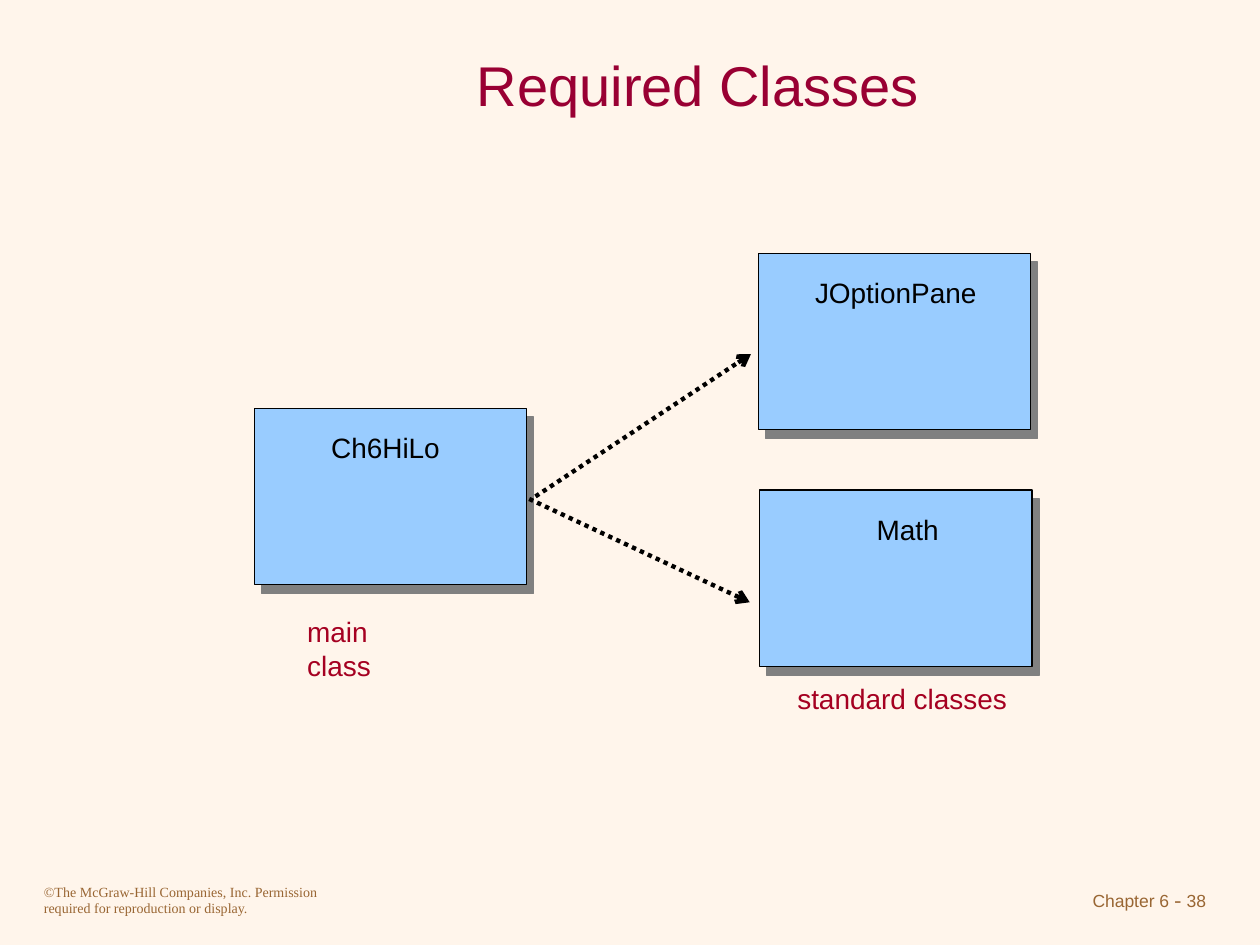
"""Build the Required Classes slide."""
import lxml.etree
import pptx
import pptx.dml.color
import pptx.enum.dml
import pptx.enum.shapes
import pptx.enum.text
import pptx.oxml.ns
import pptx.util

Inches = pptx.util.Inches
Pt = pptx.util.Pt
ALIGN = pptx.enum.text.PP_ALIGN
ANCHOR = pptx.enum.text.MSO_ANCHOR
SHAPE = pptx.enum.shapes.MSO_SHAPE

BACKGROUND, TITLE, CAPTION = "FFF5EB", "990033", "A50021"
FOOTER, CLASS_FILL, SHADOW, BLACK = "996633", "99CCFF", "808080", "000000"
CLASS_WIDTH, CLASS_HEIGHT = 2.16, 1.4


def color(value):
    """Return the colour for a hex string."""
    return pptx.dml.color.RGBColor.from_string(value)


def add_element(parent, tag, **attributes):
    """Append a namespaced element to its parent."""
    return lxml.etree.SubElement(parent, pptx.oxml.ns.qn(tag), attributes)


def style_span(span, size, value, font="Arial"):
    """Set the font of one run."""
    span.font.name = font
    span.font.size = Pt(size)
    span.font.color.rgb = color(value)


def add_text(page, box, text, size, value, font="Arial",
             align=ALIGN.LEFT, anchor=ANCHOR.TOP, wrap=True):
    """Place a line of text and return its paragraph."""
    frame = page.shapes.add_textbox(*map(Inches, box)).text_frame
    frame.word_wrap = wrap
    frame.vertical_anchor = anchor
    frame.text = text
    para = frame.paragraphs[0]
    para.alignment = align
    style_span(para.runs[0], size, value, font)
    return para


def add_class(page, box, name, name_indent):
    """Draw a shadowed class box with its name near the top."""
    left, top, width, height = box
    shape = page.shapes.add_shape(SHAPE.ROUNDED_RECTANGLE, *map(Inches, box))
    shape.adjustments[0] = 0
    shape.fill.solid()
    shape.fill.fore_color.rgb = color(CLASS_FILL)
    shape.line.color.rgb = color(BLACK)
    shape.line.width = Pt(0.75)
    shape.shadow.inherit = False
    effects = shape._element.spPr.find(pptx.oxml.ns.qn("a:effectLst"))
    outer = add_element(effects, "a:outerShdw", blurRad="0", dist=str(Pt(6.4)),
                        dir=str(51 * 60000), algn="ctr", rotWithShape="0")
    add_element(outer, "a:srgbClr", val=SHADOW)
    name_box = (left + name_indent, top + 0.13, width - name_indent, 0.37)
    add_text(page, name_box, name, 16, BLACK, wrap=False)


def add_arrow(page, start, end):
    """Draw a dotted arrow between two points."""
    arrow = page.shapes.add_connector(
        pptx.enum.shapes.MSO_CONNECTOR.STRAIGHT, *map(Inches, start + end))
    arrow.line.color.rgb = color(BLACK)
    arrow.line.width = Pt(2.5)
    arrow.line.dash_style = pptx.enum.dml.MSO_LINE.ROUND_DOT
    add_element(arrow.line._get_or_add_ln(), "a:tailEnd", type="arrow")
    add_element(arrow._element.spPr, "a:effectLst")


def add_main_class(page, box):
    """Place the main class and its caption."""
    left, top, width, height = box
    add_class(page, box, "Ch6HiLo", 0.51)
    caption_box = (left + 0.32, top + height + 0.19, 1.24, 0.37)
    add_text(page, caption_box, "main class", 16, CAPTION, wrap=False)


def add_standard_classes(page, box):
    """Stack the standard classes in a box with a caption below."""
    left, top, width, height = box
    lower_top = top + height - CLASS_HEIGHT
    add_class(page, (left, top, width, CLASS_HEIGHT), "JOptionPane", 0.35)
    add_class(page, (left + 0.01, lower_top, width, CLASS_HEIGHT), "Math", 0.83)
    caption_box = (left + 0.21, top + height + 0.07, 1.86, 0.37)
    add_text(page, caption_box, "standard classes", 16, CAPTION, wrap=False)


def add_footer(page, box):
    """Place the copyright line on the left and the page number on the right."""
    left, top, width, height = box
    add_text(page, (left, top, 2.5, height),
             "©The McGraw-Hill Companies, Inc. Permission required for "
             "reproduction or display.", 8, FOOTER, "Times New Roman")
    para = add_text(page, (left + width - 2.17, top + 0.03, 2.17, height),
                    "Chapter 6", 10, FOOTER, align=ALIGN.RIGHT)
    for text, size, font in ((" - ", 12, "Times New Roman"), ("38", 10, "Arial")):
        span = para.add_run()
        span.text = text
        style_span(span, size, FOOTER, font)


def main():
    """Create and save the deck."""
    deck = pptx.Presentation()
    deck.slide_width, deck.slide_height = Inches(10), Inches(7.5)
    page = deck.slides.add_slide(deck.slide_layouts[6])
    page.background.fill.solid()
    page.background.fill.fore_color.rgb = color(BACKGROUND)
    add_footer(page, (0.25, 6.96, 9.42, 0.37))
    add_text(page, (1.5, 0.25, 8.08, 0.83), "Required Classes", 32, TITLE,
             align=ALIGN.CENTER, anchor=ANCHOR.MIDDLE)
    add_main_class(page, (2.02, 3.24, CLASS_WIDTH, CLASS_HEIGHT))
    add_standard_classes(page, (6.02, 2.01, CLASS_WIDTH, 3.28))
    add_arrow(page, (4.25, 3.94), (5.96, 2.81))
    add_arrow(page, (4.2, 3.96), (5.95, 4.78))
    deck.save("out.pptx")


if __name__ == "__main__":
    main()
